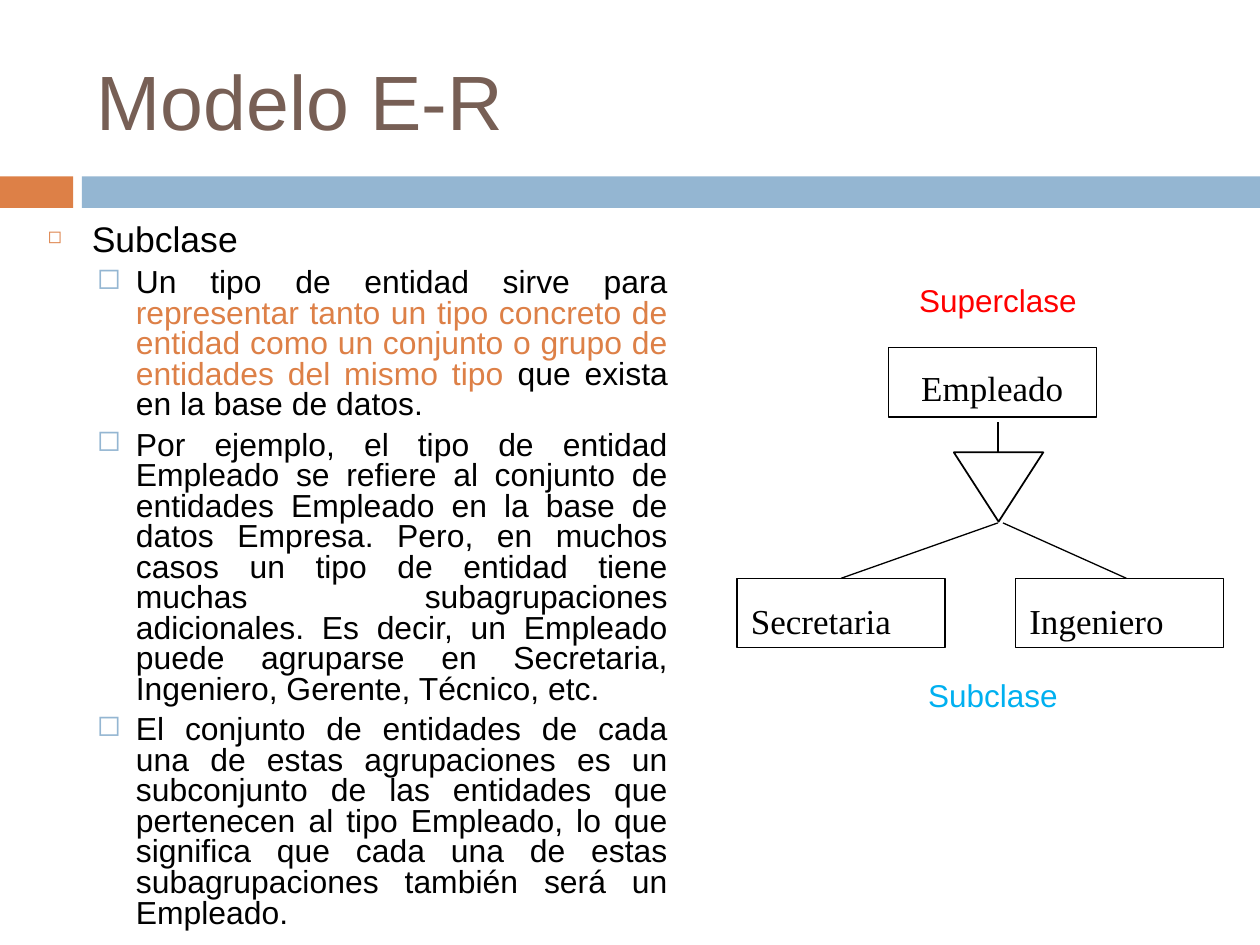
from lxml import etree
from pptx import Presentation
from pptx.dml.color import RGBColor
from pptx.enum.shapes import MSO_CONNECTOR, MSO_SHAPE
from pptx.enum.text import MSO_ANCHOR, PP_ALIGN
from pptx.oxml.ns import qn
from pptx.util import Inches, Pt

RECT, PROCESS = MSO_SHAPE.RECTANGLE, MSO_SHAPE.FLOWCHART_PROCESS
TRIANGLE = MSO_SHAPE.ISOSCELES_TRIANGLE
STRAIGHT = MSO_CONNECTOR.STRAIGHT
LEFT, CENTER, JUSTIFY = PP_ALIGN.LEFT, PP_ALIGN.CENTER, PP_ALIGN.JUSTIFY
TOP, MIDDLE = MSO_ANCHOR.TOP, MSO_ANCHOR.MIDDLE
ORANGE, BLUE, BROWN, BLACK = "DD8047", "94B6D2", "775F55", "000000"
RED, CYAN = "FF0000", "00B0F0"
SERIF = "Times New Roman"
BOX_W, BOX_H = 1.65, 0.55

# Each paragraph is a level and its runs of text and colour
BODY = [
    (0, [("Subclase", BLACK)]),
    (1, [("Un tipo de entidad sirve para ", BLACK),
         ("representar tanto un tipo concreto de entidad como un conjunto "
          "o grupo de entidades del mismo tipo ", ORANGE),
         ("que exista en la base de datos.", BLACK)]),
    (1, [("Por ejemplo, el tipo de entidad Empleado se refiere al conjunto de "
          "entidades Empleado en la base de datos Empresa. Pero, en muchos "
          "casos un tipo de entidad tiene muchas subagrupaciones adicionales. "
          "Es decir, un Empleado puede agruparse en Secretaria, Ingeniero, "
          "Gerente, Técnico, etc.", BLACK)]),
    (1, [("El conjunto de entidades de cada una de estas agrupaciones es un "
          "subconjunto de las entidades que pertenecen al tipo Empleado, lo "
          "que significa que cada una de estas subagrupaciones también será "
          "un Empleado.", BLACK)]),
]
# Size, indent, hang, space before, bullet colour, bullet percent
LEVELS = [(20.3, 0.35, 0.35, 0, ORANGE, 50),
          (18.2, 0.7, 0.31, 5.5, BLUE, 92)]
BULLET = "◻"


def rgb(code):
    return RGBColor.from_string(code)


def add_run(par, text, size=18, color=BLACK, font="Arial"):
    run = par.add_run()
    run.text = text
    run.font.size, run.font.name = Pt(size), font
    run.font.color.rgb = rgb(color)


def add_frame(slide, box, anchor=TOP, pad=(0.1, 0.05)):
    frame = slide.shapes.add_textbox(*map(Inches, box)).text_frame
    frame.word_wrap = True
    frame.vertical_anchor = anchor
    frame.margin_left = frame.margin_right = Inches(pad[0])
    frame.margin_top = frame.margin_bottom = Inches(pad[1])
    return frame


def add_text(slide, box, text, align=LEFT, anchor=TOP, pad=(0.1, 0.05), **style):
    par = add_frame(slide, box, anchor, pad).paragraphs[0]
    par.alignment = align
    add_run(par, text, **style)


def add_shape(slide, kind, box, fill=None, line=None, width=0.75):
    shape = slide.shapes.add_shape(kind, *map(Inches, box))
    shape.shadow.inherit = False
    if fill:
        shape.fill.solid()
        shape.fill.fore_color.rgb = rgb(fill)
    else:
        shape.fill.background()
    if line:
        shape.line.color.rgb = rgb(line)
        shape.line.width = Pt(width)
    else:
        shape.line.fill.background()
    return shape


def add_line(slide, start, end):
    line = slide.shapes.add_connector(STRAIGHT, *map(Inches, start + end))
    line.line.color.rgb = rgb(BLACK)
    line.line.width = Pt(0.75)
    etree.SubElement(line._element.spPr, qn("a:effectLst"))
    return line


def set_bullet(par, indent, hang, color, percent):
    props = par._p.get_or_add_pPr()
    props.set("marL", str(Inches(indent)))
    props.set("indent", str(-Inches(hang)))
    tint = etree.SubElement(props, qn("a:buClr"))
    etree.SubElement(tint, qn("a:srgbClr"), val=color)
    etree.SubElement(props, qn("a:buSzPct"), val=str(percent * 1000))
    etree.SubElement(props, qn("a:buChar"), char=BULLET)


def add_header(slide, left, top, width, height):
    # Two-colour band with the title above it
    band, split, gap = 0.25, 0.58, 0.07
    y = top + height - band
    add_shape(slide, RECT, (left, y, split, band), fill=ORANGE)
    x = split + gap
    add_shape(slide, RECT, (left + x, y, width - x, band), fill=BLUE)
    add_text(slide, (left + 0.67, top + 0.25, 8.92, 1.08), "Modelo E-R",
             anchor=MIDDLE, size=44, color=BROWN)


def add_body(slide, box):
    frame = add_frame(slide, box)
    for i, (level, runs) in enumerate(BODY):
        size, indent, hang, before, color, percent = LEVELS[level]
        par = frame.add_paragraph() if i else frame.paragraphs[0]
        par.level, par.alignment = level, JUSTIFY
        par.line_spacing, par.space_before = 0.8, Pt(before)
        set_bullet(par, indent, hang, color, percent)
        for text, tone in runs:
            add_run(par, text, size=size, color=tone)


def add_entity(slide, left, top, text, drop, width=BOX_W, align=LEFT):
    add_text(slide, (left, top + drop, width, 0.45), text, align=align,
             pad=(0.11, 0.06), size=20, font=SERIF)
    return add_shape(slide, PROCESS, (left, top, BOX_W, BOX_H), line=BLACK)


def add_diagram(slide, left, top):
    # Entities
    low = top + 2.41
    add_entity(slide, left + 1.2, top + 0.58, "Empleado", 0.09, align=CENTER)
    clerk = add_entity(slide, left, low, "Secretaria", 0.11, 1.74)
    add_entity(slide, left + 2.21, low, "Ingeniero", 0.11, 1.74)

    # Class labels
    for x, y, text, color in ((0.58, 0, "Superclase", RED),
                              (0.54, 3.14, "Subclase", CYAN)):
        add_text(slide, (left + x, top + y, 2.98, 0.4), text,
                 align=CENTER, color=color)

    # Triangle and its branches
    mid, tip = left + 2.07, top + 1.97
    branch = add_line(slide, (mid, tip), (left + BOX_W / 2, low))
    branch.end_connect(clerk, 0)
    add_line(slide, (mid + 0.04, tip), (left + 3.09, low))
    mark = add_shape(slide, TRIANGLE, (mid - 0.35, top + 1.41, 0.71, 0.55),
                     line=BLACK, width=1)
    mark.rotation = 180
    add_line(slide, (mid, top + 1.17), (mid, top + 1.41))


def main():
    deck = Presentation()
    deck.slide_width, deck.slide_height = Inches(10), Inches(7.5)
    slide = deck.slides.add_slide(deck.slide_layouts[6])
    add_header(slide, 0, 0, 10, 1.65)
    add_body(slide, (0.28, 1.74, 5.12, 5.48))
    add_diagram(slide, 5.85, 2.18)
    deck.save("out.pptx")


if __name__ == "__main__":
    main()
